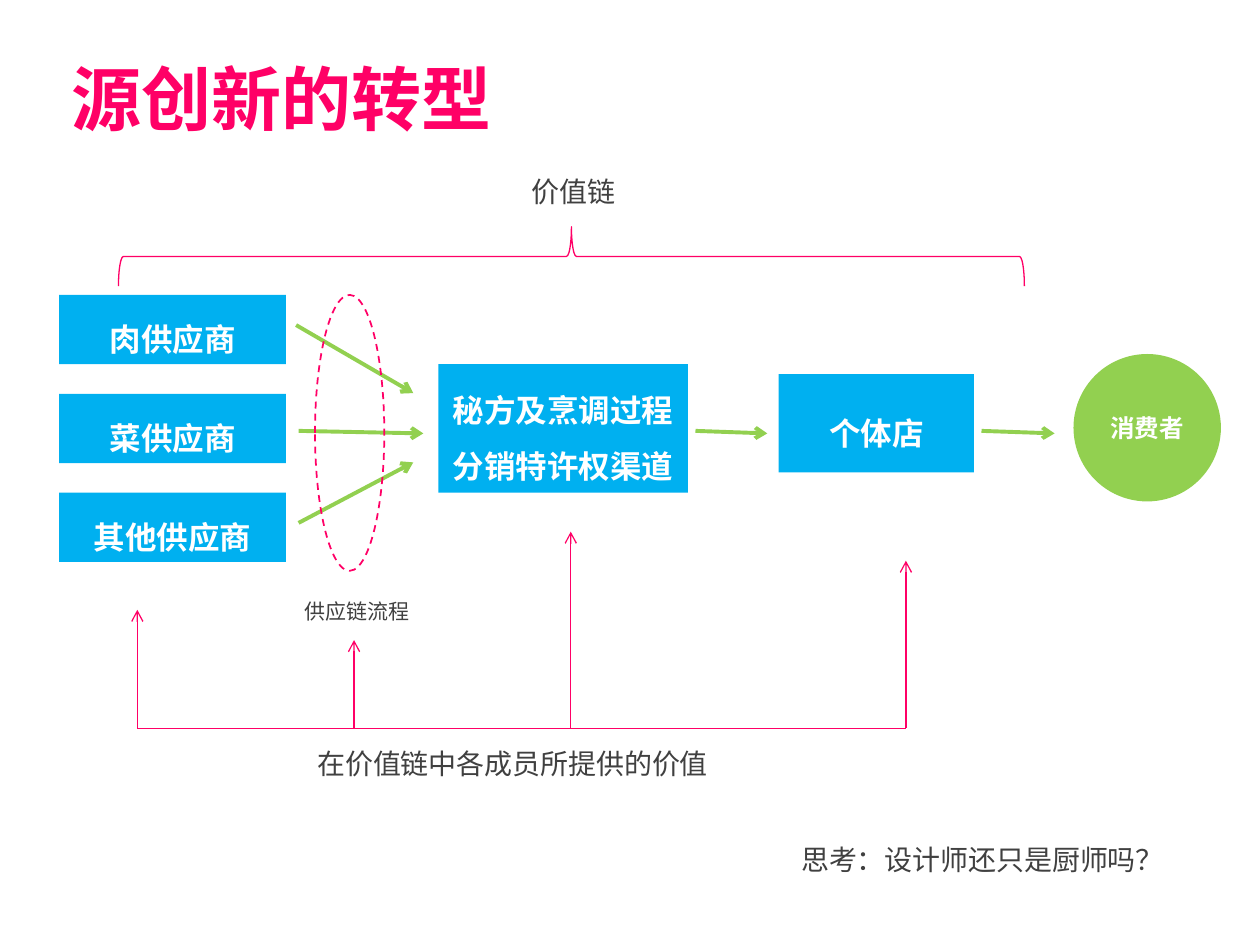
import pptx
import pptx.util
import pptx.dml.color
import pptx.oxml
import pptx.oxml.ns
from pptx.enum.dml import MSO_LINE
from pptx.enum.shapes import MSO_CONNECTOR, MSO_SHAPE
from pptx.enum.text import MSO_ANCHOR, MSO_AUTO_SIZE, PP_ALIGN

FONT = "Noto Sans CJK SC"
PINK, BLUE, GREEN, WHITE, GREY = "FF0066", "00B0F0", "92D050", "FFFFFF", "404040"
SLIDE_SIZE = 10, 7.5

# text, left, top, width, height, format
LABELS = [
    ("源创新的转型", 0.47, 0.39, 3.57, 0.77, {"size": 40, "color": PINK, "bold": True}),
    ("价值链", 4.12, 1.34, 0.88, 0.37, {"size": 16, "color": GREY}),
    ("供应链流程", 2.32, 4.7, 1.04, 0.3, {"size": 12, "color": GREY}),
    ("在价值链中各成员所提供的价值", 2.42, 5.88, 3.34, 0.37, {"size": 16, "color": GREY}),
    ("思考：设计师还只是厨师吗？", 6.26, 6.64, 3.12, 0.37, {"size": 16, "color": GREY}),
]
SUPPLIERS = ["肉供应商", "菜供应商", "其他供应商"]
SUPPLIER_LEFT, SUPPLIER_TOP, SUPPLIER_PITCH = 0.47, 2.34, 0.785
SUPPLIER_SIZE = 1.8, 0.55
STAGES = [
    (["秘方及烹调过程", "分销特许权渠道"], 3.48, 2.89, 1.98, 1.02),
    (["个体店"], 6.18, 2.97, 1.55, 0.78),
]
CONSUMER = ["消费者"], 8.52, 2.81, 1.17, 1.17
SUPPLY_CHAIN_RING = 2.5, 2.34, 0.55, 2.19
VALUE_CHAIN_BRACE = 4.3, -1.56, 0.47, 7.19
FLOW_ARROWS = [
    (2.35, 2.58, 3.28, 3.12),
    (2.37, 3.42, 3.36, 3.44),
    (2.37, 4.15, 3.28, 3.67),
    (5.52, 3.42, 6.09, 3.44),
    (7.79, 3.42, 8.37, 3.44),
]
VALUE_BASELINE = 5.78
VALUE_ARROW_TIPS = [(1.09, 4.84), (2.81, 5.08), (4.53, 4.22), (7.19, 4.45)]


def inches(*values):
    return [pptx.util.Inches(value) for value in values]


def rgb(color):
    return pptx.dml.color.RGBColor.from_string(color)


def add_child(parent, tag, **attributes):
    child = pptx.oxml.parse_xml(f"<{tag} {pptx.oxml.ns.nsdecls('a')}/>")
    for name, value in attributes.items():
        child.set(name, value)
    parent.append(child)


def write(frame, lines, size, color, bold=False, **paragraph_format):
    for index, line in enumerate(lines):
        paragraph = frame.add_paragraph() if index else frame.paragraphs[0]
        for name, value in paragraph_format.items():
            setattr(paragraph, name, value)
        run = paragraph.add_run()
        run.text = line
        font_format = {"size": pptx.util.Pt(size), "bold": bold, "name": FONT}
        for name, value in font_format.items():
            setattr(run.font, name, value)
        run.font.color.rgb = rgb(color)
        add_child(run.font._element, "a:ea", typeface=FONT)


def add_label(slide, text, left, top, width, height, style):
    frame = slide.shapes.add_textbox(*inches(left, top, width, height)).text_frame
    frame.word_wrap = False
    frame.auto_size = MSO_AUTO_SIZE.SHAPE_TO_FIT_TEXT
    write(frame, [text], **style)


def add_block(slide, kind, lines, box, fill, size, **paragraph_format):
    """Add a filled shape without outline, with centred white text."""
    shape = slide.shapes.add_shape(kind, *inches(*box))
    shape.shadow.inherit = False
    shape.fill.solid()
    shape.fill.fore_color.rgb = rgb(fill)
    shape.line.fill.background()
    shape.text_frame.vertical_anchor = MSO_ANCHOR.MIDDLE
    write(shape.text_frame, lines, size, WHITE, True,
          alignment=PP_ALIGN.CENTER, **paragraph_format)


def add_outline(slide, kind, box, width):
    shape = slide.shapes.add_shape(kind, *inches(*box))
    shape.shadow.inherit = False
    shape.fill.background()
    shape.line.color.rgb = rgb(PINK)
    shape.line.width = pptx.util.Pt(width)
    return shape


def add_line(slide, ends, color, width, arrow=True):
    line = slide.shapes.add_connector(MSO_CONNECTOR.STRAIGHT, *inches(*ends))
    line.line.color.rgb = rgb(color)
    line.line.width = pptx.util.Pt(width)
    if arrow:
        add_child(line.line._get_or_add_ln(), "a:tailEnd", type="arrow")
    add_child(line._element.spPr, "a:effectLst")


def main():
    presentation = pptx.Presentation()
    presentation.slide_width, presentation.slide_height = inches(*SLIDE_SIZE)
    slide = presentation.slides.add_slide(presentation.slide_layouts[6])

    for label in LABELS:
        add_label(slide, *label)

    suppliers = [
        ([name], SUPPLIER_LEFT, SUPPLIER_TOP + row * SUPPLIER_PITCH, *SUPPLIER_SIZE)
        for row, name in enumerate(SUPPLIERS)
    ]
    for lines, *box in suppliers + STAGES:
        add_block(slide, MSO_SHAPE.RECTANGLE, lines, box, BLUE, 18, line_spacing=1.5)
    lines, *box = CONSUMER
    add_block(slide, MSO_SHAPE.OVAL, lines, box, GREEN, 14)

    for ends in FLOW_ARROWS:
        add_line(slide, ends, GREEN, 2.25)

    brace = add_outline(slide, MSO_SHAPE.RIGHT_BRACE, VALUE_CHAIN_BRACE, 0.75)
    brace.rotation = 270
    ring = add_outline(slide, MSO_SHAPE.OVAL, SUPPLY_CHAIN_RING, 1)
    ring.line.dash_style = MSO_LINE.DASH

    first, last = VALUE_ARROW_TIPS[0][0], VALUE_ARROW_TIPS[-1][0]
    add_line(slide, (first, VALUE_BASELINE, last, VALUE_BASELINE), PINK, 0.75, arrow=False)
    for x, tip in VALUE_ARROW_TIPS:
        add_line(slide, (x, VALUE_BASELINE, x, tip), PINK, 0.75)

    presentation.save("out.pptx")


if __name__ == "__main__":
    main()
